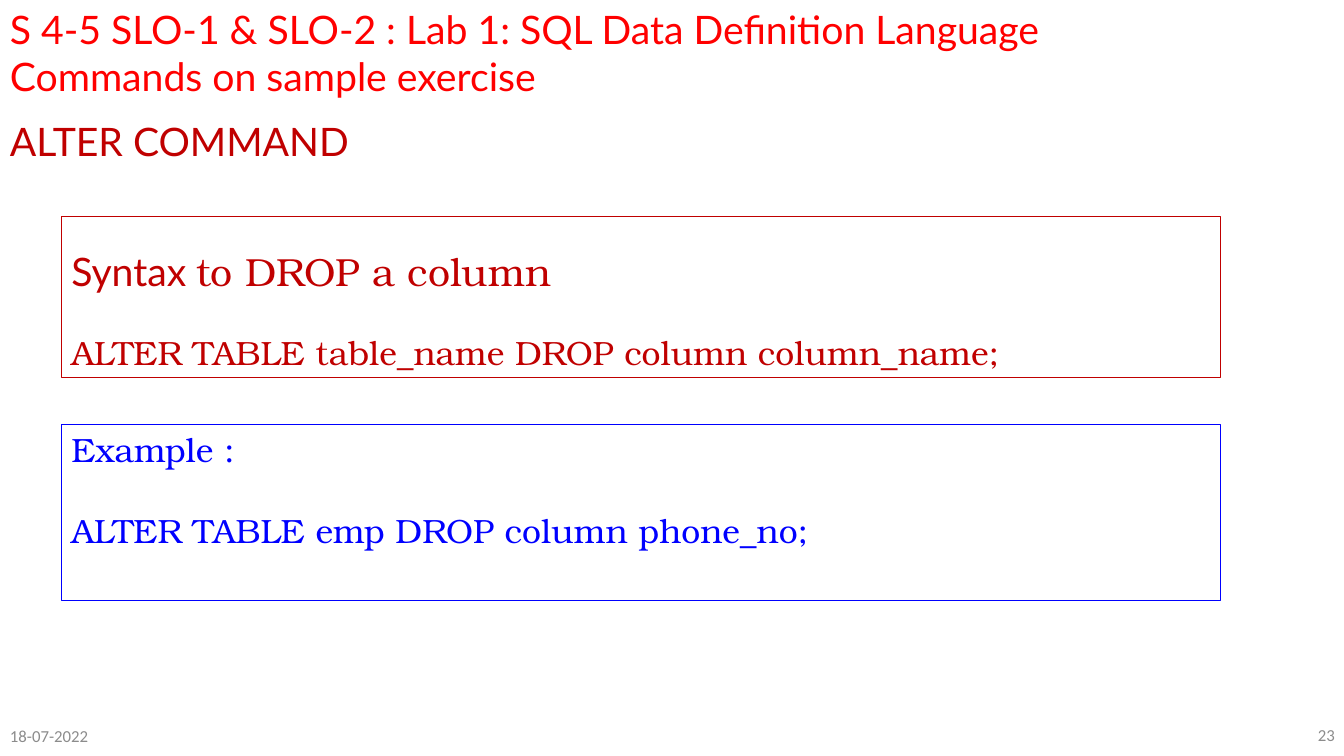
from pptx import Presentation
from pptx.dml.color import RGBColor as Rgb
from pptx.enum.shapes import MSO_SHAPE as Kind
from pptx.enum.text import MSO_ANCHOR as Anchor, PP_ALIGN as Align
from pptx.util import Cm, Pt

HUES = {"title": "FF0000", "syntax": "C00000", "sample": "0000FF", "foot": "8C8C8C"}
SANS, SERIF, FOOT = "Lato", "TeX Gyre Bonum", "Calibri"


class Page:
    def __init__(self, deck):
        self.slide = deck.slides.add_slide(deck.slide_layouts[6])

    def hue(self, name):
        return Rgb.from_string(HUES[name])

    def line(self, para, runs, size, hue, gap=0, lead=1.0, align=Align.LEFT):
        para.alignment = align
        para.line_spacing = lead
        para.space_before = Pt(gap)
        para.font.size = Pt(size)
        para.font.color.rgb = self.hue(hue)
        fonts = {font for _, font in runs}
        if len(fonts) == 1:
            para.font.name = runs[0][1]
        for words, font in runs:
            run = para.add_run()
            run.text = words
            if len(fonts) > 1:
                run.font.name = font

    def text(self, area, words, font, size, hue, anchor=Anchor.TOP, **style):
        frame = self.slide.shapes.add_textbox(*map(Cm, area)).text_frame
        frame.word_wrap = True
        frame.vertical_anchor = anchor
        self.line(frame.paragraphs[0], [(words, font)], size, hue, **style)

    def panel(self, top, height, hue, lines, gap, inset=0.13, lead=1.0):
        area = map(Cm, (1.55, top, 29.21, height))
        box = self.slide.shapes.add_shape(Kind.RECTANGLE, *area)
        box.shadow.inherit = False
        box.fill.background()
        box.line.color.rgb = self.hue(hue)
        box.line.width = Pt(0.75)
        frame = box.text_frame
        frame.word_wrap = True
        frame.vertical_anchor = Anchor.TOP
        frame.margin_top = Cm(inset)
        for i, (runs, size) in enumerate(lines):
            para = frame.add_paragraph() if i else frame.paragraphs[0]
            self.line(para, runs, size, hue, gap if i else 0, lead)


def main():
    deck = Presentation()
    deck.slide_width, deck.slide_height = Cm(33.87), Cm(19.05)
    page = Page(deck)

    page.panel(5.46, 4.06, "syntax", [
        ([("Syntax ", SANS), ("to DROP a column", SERIF)], 28),
        ([("ALTER TABLE table_name DROP column column_name;", SERIF)], 24),
    ], gap=29.5, inset=0.9, lead=0.9)
    page.text((0, 18.03, 11.23, 1.02), "18-07-2022", FOOT, 12, "foot", Anchor.MIDDLE)
    page.text((22.66, 18.01, 11.23, 1.02), "23", FOOT, 12, "foot", Anchor.MIDDLE,
              align=Align.RIGHT)
    page.text((0, 3.07, 29.21, 1.24), "ALTER COMMAND", SANS, 28, "syntax", lead=0.8)
    page.text((0, 0, 30.48, 2.64),
              "S 4-5 SLO-1 & SLO-2 : Lab 1: SQL Data Definition Language "
              "Commands on sample exercise", SANS, 28, "title")
    page.panel(10.69, 4.45, "sample", [
        ([("Example :", SERIF)], 24),
        ([("ALTER TABLE emp DROP column phone_no;", SERIF)], 24),
    ], gap=29)

    deck.save("out.pptx")


if __name__ == "__main__":
    main()
